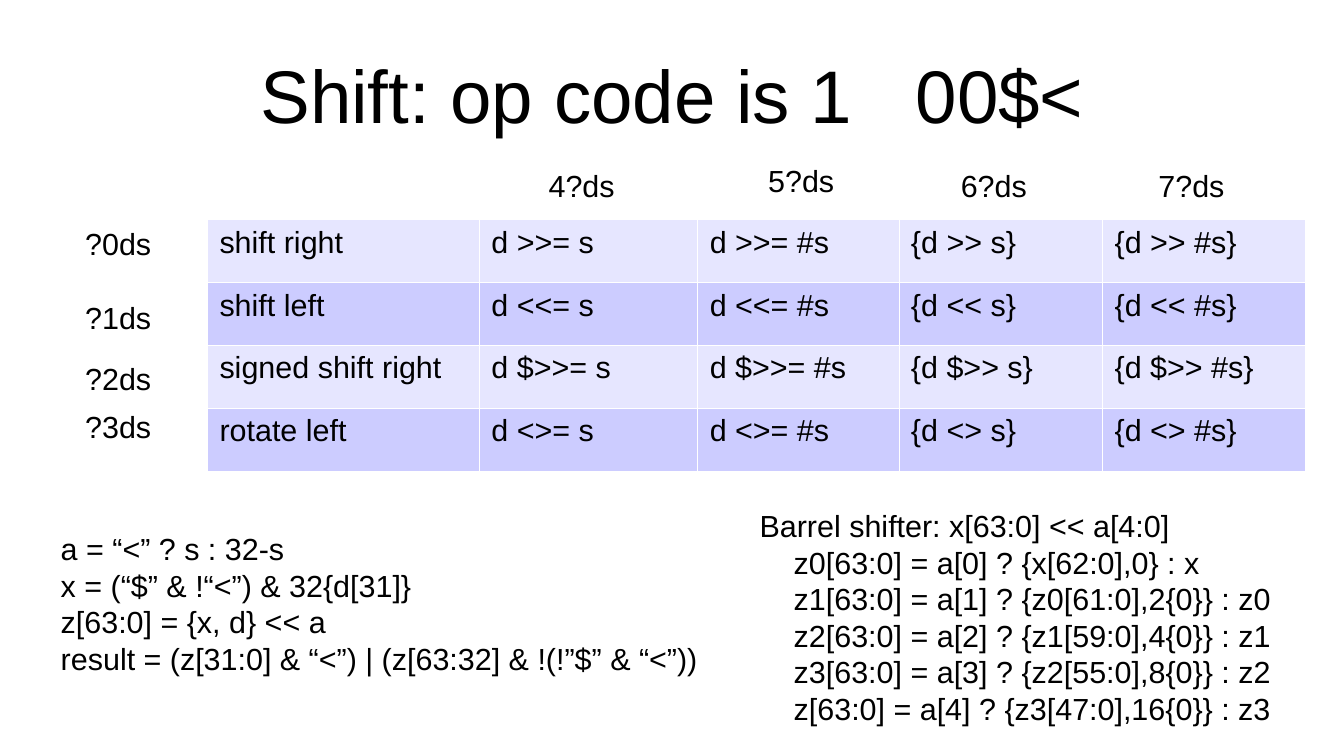
from pptx import Presentation
from pptx.dml.color import RGBColor as RGB
from pptx.enum.text import MSO_ANCHOR as ANCHOR, PP_ALIGN as ALIGN
from pptx.oxml.ns import qn
from pptx.util import Inches, Pt
from lxml import etree

COLORS = {"text": "000000", "light": "E6E6FF", "dark": "CCCCFF", "border": "FFFFFF"}


def add_run(p, text, size=18):
    r = p.add_run()
    r.text = text
    r.font.size = Pt(size)
    r.font.name = "Arial"
    r.font.color.rgb = RGB.from_string(COLORS["text"])
    return r


def add_text(s, x, y, w, h, lines, indent=0):
    tf = s.shapes.add_textbox(Inches(x), Inches(y), Inches(w), Inches(h)).text_frame
    tf.word_wrap = True
    for i, line in enumerate(lines):
        p = tf.paragraphs[0] if i == 0 else tf.add_paragraph()
        p.line_spacing = Pt(21.6)
        if i and indent:
            p._p.get_or_add_pPr().set("marL", str(Inches(indent)))
        add_run(p, line)


prs = Presentation()
prs.slide_width, prs.slide_height = Inches(11.02), Inches(6.2)
s = prs.slides.add_slide(prs.slide_layouts[6])

# Title, with one widened space before the second half of the op code
tf = s.shapes.add_textbox(Inches(0.55), Inches(0.25), Inches(9.92), Inches(1.04)).text_frame
tf.word_wrap = True
tf.vertical_anchor = ANCHOR.MIDDLE
tf.margin_left = tf.margin_right = tf.margin_top = tf.margin_bottom = 0
p = tf.paragraphs[0]
p.alignment = ALIGN.CENTER
add_run(p, "Shift: op code is 1", 44)
gap = add_run(p, " ", 44)
gap.font._element.set("spc", "2450")
add_run(p, "00$<", 44)

# Instruction table
operations = [("shift right", ">>"), ("shift left", "<<"),
              ("signed shift right", "$>>"), ("rotate left", "<>")]
col_widths = [2.23, 1.79, 1.65, 1.67, 1.66]
table = s.shapes.add_table(len(operations), len(col_widths), Inches(1.7), Inches(1.8),
                           Inches(9), Inches(2.06)).table
table.first_row = table.horz_banding = False
for col, width in zip(table.columns, col_widths):
    col.width = Inches(width)
for i, (name, op) in enumerate(operations):
    table.rows[i].height = Inches(0.515)
    texts = [name, f"d {op}= s", f"d {op}= #s", f"{{d {op} s}}", f"{{d {op} #s}}"]
    for j, text in enumerate(texts):
        cell = table.cell(i, j)
        add_run(cell.text_frame.paragraphs[0], text)
        tcPr = cell._tc.get_or_add_tcPr()
        for side in ("a:lnL", "a:lnR", "a:lnT", "a:lnB"):
            ln = etree.SubElement(tcPr, qn(side), w=str(Pt(0.06)))
            fill = etree.SubElement(ln, qn("a:solidFill"))
            etree.SubElement(fill, qn("a:srgbClr"), val=COLORS["border"])
        cell.fill.solid()
        cell.fill.fore_color.rgb = RGB.from_string(COLORS["dark" if i % 2 else "light"])

# Op code labels above the columns and beside the rows
for digit, (x, y) in enumerate([(4.4, 1.32), (6.2, 1.28), (7.78, 1.32), (9.4, 1.32)], 4):
    add_text(s, x, y, 0.9, 0.38, [f"{digit}?ds"])
for digit, y in enumerate([1.8, 2.4, 2.9, 3.3]):
    add_text(s, 0.6, y, 0.9, 0.38, [f"?{digit}ds"])

# Logic equations
add_text(s, 0.4, 4.3, 6.8, 1.22, [
    "a = “<” ? s : 32-s",
    "x = (“$” & !“<”) & 32{d[31]}",
    "z[63:0] = {x, d} << a",
    "result = (z[31:0] & “<”) | (z[63:32] & !(!”$” & “<”))",
])

# Barrel shifter, stages indented
add_text(s, 6.13, 4.11, 4.7, 1.78, [
    "Barrel shifter: x[63:0] << a[4:0]",
    "z0[63:0] = a[0] ? {x[62:0],0} : x",
    "z1[63:0] = a[1] ? {z0[61:0],2{0}} : z0",
    "z2[63:0] = a[2] ? {z1[59:0],4{0}} : z1",
    "z3[63:0] = a[3] ? {z2[55:0],8{0}} : z2",
    "z[63:0] = a[4] ? {z3[47:0],16{0}} : z3",
], indent=0.28)

prs.save("out.pptx")
